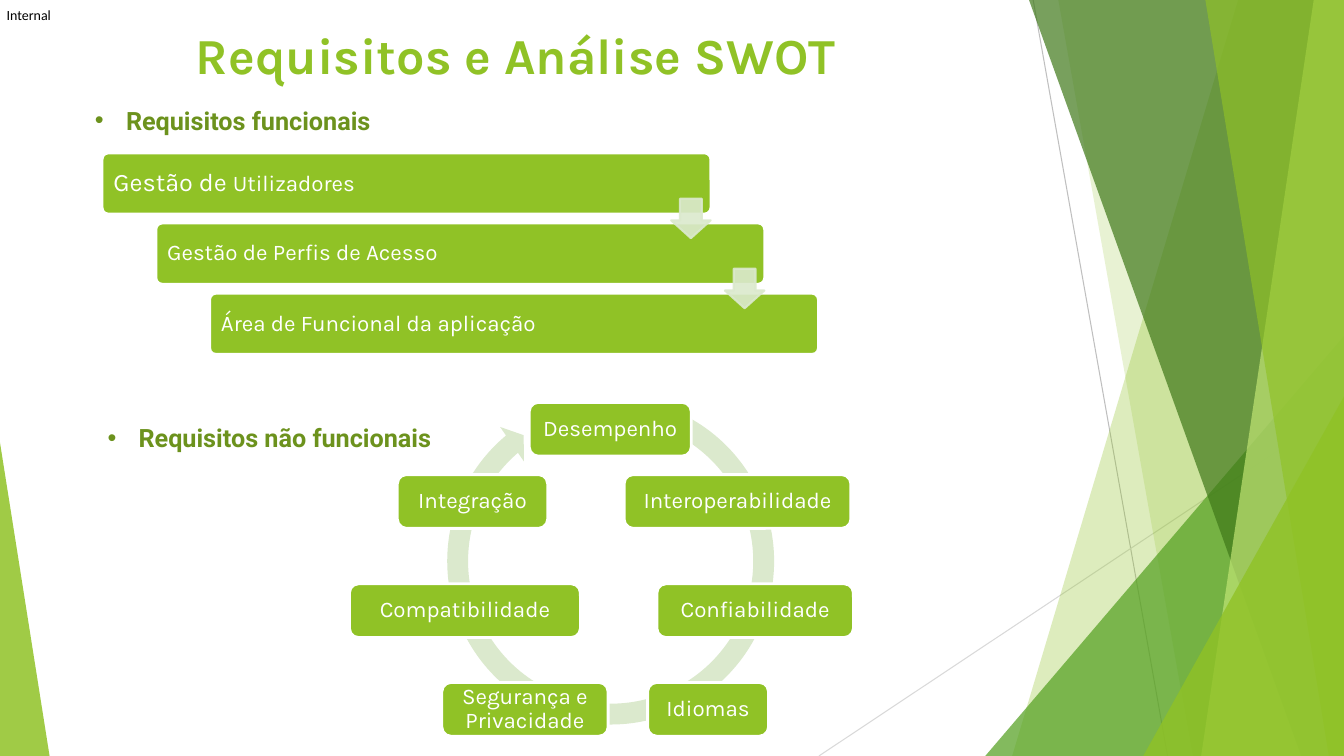
from dataclasses import dataclass

from lxml import etree
from pptx import Presentation
from pptx.dml.color import RGBColor
from pptx.enum.shapes import MSO_CONNECTOR, MSO_SHAPE
from pptx.enum.text import MSO_ANCHOR, PP_ALIGN
from pptx.oxml.ns import qn
from pptx.util import Inches, Pt

STRAIGHT = MSO_CONNECTOR.STRAIGHT
TRIANGLE = MSO_SHAPE.ISOSCELES_TRIANGLE
ROUNDED = MSO_SHAPE.ROUNDED_RECTANGLE
DOWN_ARROW = MSO_SHAPE.DOWN_ARROW
CYCLE_ARROW = MSO_SHAPE.CIRCULAR_ARROW
TOP, MIDDLE = MSO_ANCHOR.TOP, MSO_ANCHOR.MIDDLE
LEFT, CENTER, JUSTIFY = PP_ALIGN.LEFT, PP_ALIGN.CENTER, PP_ALIGN.JUSTIFY

COLUMNS, ROWS = 160, 90
CELL = Inches(13.333) / COLUMNS


@dataclass(frozen=True)
class Theme:
    green: str = "90C226"
    heading_green: str = "6C921D"
    mid_green: str = "54A021"
    dark_green: str = "3F7819"
    lime: str = "C0E474"
    pale: str = "DBE9CD"
    white: str = "FFFFFF"
    black: str = "000000"
    dark_rule: str = "BFBFBF"
    light_rule: str = "D9D9D9"
    title_font: str = "Karla"
    heading_font: str = "Roboto"
    label_font: str = "Calibri"
    title_size: int = 36
    large_size: int = 18
    body_size: int = 16
    label_size: int = 10


THEME = Theme()

STEPS = [
    [("Gestão de ", THEME.large_size), ("Utilizadores", THEME.body_size)],
    [("Gestão de Perfis de Acesso", THEME.body_size)],
    [("Área de Funcional da aplicação", THEME.body_size)],
]
STEP_LEFT, STEP_TOP, STEP_DX, STEP_DY = 12.2, 18.25, 6.4, 8.35
STEP_WIDTH, STEP_HEIGHT = 72.4, 7.2
ARROW_LEFT, ARROW_TOP, ARROW_SIZE = 79.9, 23.65, 4.7

QUALITY_ROWS = [47.9, 56.5, 69.5, 81.25]
QUALITY_HEIGHT = 6.4
QUALITIES = [  # label, row, left, width
    ("Desempenho", 0, 63, 19.3),
    ("Interoperabilidade", 1, 74.3, 27),
    ("Confiabilidade", 2, 78.2, 23.4),
    ("Idiomas", 3, 77.1, 14.4),
    ("Segurança e Privacidade", 3, 52.6, 19.8),
    ("Compatibilidade", 2, 41.6, 27.5),
    ("Integração", 1, 47.3, 17.9),
]


def grid(*cells):
    return [round(cell * CELL) for cell in cells]


def apply(target, values):
    for name, value in values.items():
        setattr(target, name, value)


def set_color(fill, color, opacity=100):
    """Fill with a solid colour; opacity is in percent."""
    fill.solid()
    fill.fore_color.rgb = RGBColor.from_string(color)
    if opacity < 100:
        # the colour element is the only srgbClr below this fill
        solid = fill._xPr.find(qn("a:solidFill"))
        alpha = etree.SubElement(solid[0], qn("a:alpha"))
        alpha.set("val", str(opacity * 1000))


def paint(shape, color, opacity=100, line=None, line_width=0):
    shape.shadow.inherit = False
    set_color(shape.fill, color, opacity)
    if line:
        set_color(shape.line.fill, line, opacity)
        shape.line.width = Pt(line_width)
    else:
        shape.line.fill.background()


def add_preset(slide, kind, box, adjustments, **look):
    shape = slide.shapes.add_shape(kind, *grid(*box))
    for index, value in enumerate(adjustments):
        shape.adjustments[index] = value
    paint(shape, **look)
    return shape


def add_rule(slide, ends, color):
    rule = slide.shapes.add_connector(STRAIGHT, *grid(*ends))
    rule.line.color.rgb = RGBColor.from_string(color)
    rule.line.width = Pt(0.75)
    etree.SubElement(rule._element.spPr, qn("a:effectLst"))


def add_band(slide, top_left, bottom_left, color, opacity):
    """Full-height band that reaches the right edge of the slide."""
    outline = slide.shapes.build_freeform(*grid(top_left, 0))
    corners = [(COLUMNS, 0), (COLUMNS, ROWS), (bottom_left, ROWS)]
    outline.add_line_segments([grid(*corner) for corner in corners], close=True)
    paint(outline.convert_to_shape(), color, opacity)


def write(shape, runs, color, font, align=LEFT, anchor=MIDDLE,
          insets=(0, 0, 0, 0), spacing=1.0, bold=False, bullet=False):
    """Write one paragraph of (text, size) runs; insets are left, top, right, bottom."""
    frame = shape.text_frame
    sides = ("margin_left", "margin_top", "margin_right", "margin_bottom")
    apply(frame, {"word_wrap": True, "vertical_anchor": anchor,
                  **dict(zip(sides, grid(*insets)))})
    paragraph = frame.paragraphs[0]
    apply(paragraph, {"alignment": align, "line_spacing": spacing})
    if bullet:
        properties = paragraph._p.get_or_add_pPr()
        hanging, = grid(3.7)
        properties.set("marL", str(grid(9.7)[0]))
        properties.set("indent", str(-hanging))
        etree.SubElement(properties, qn("a:buFont")).set("typeface", "Arial")
        etree.SubElement(properties, qn("a:buChar")).set("char", "•")
    for text, size in runs:
        run = paragraph.add_run()
        run.text = text
        apply(run.font, {"name": font, "size": Pt(size), "bold": bold})
        run.font.color.rgb = RGBColor.from_string(color)


def add_text(slide, box, text, size, **style):
    write(slide.shapes.add_textbox(*grid(*box)), [(text, size)], **style)


def add_heading(slide, left, top, text):
    add_text(slide, (left, top, 80.2, 6), text, THEME.large_size,
             color=THEME.heading_green, font=THEME.heading_font, anchor=TOP,
             insets=(1.2, 0.6, 1.2, 0.6), spacing=1.5, bold=True, bullet=True)


def add_card(slide, box, runs, radius, line_width, align):
    card = add_preset(slide, ROUNDED, box, [radius], color=THEME.green,
                      line=THEME.white, line_width=line_width)
    write(card, runs, THEME.white, THEME.title_font, align,
          insets=(1.1, 0.9, 1.1, 0.9), spacing=0.9)


def add_backdrop(slide):
    add_rule(slide, (123, 0, 139, 90), THEME.dark_rule)
    add_rule(slide, (160, 48.4, 97.5, 90), THEME.light_rule)
    add_band(slide, 147.4, 120.5, THEME.green, 30)
    add_band(slide, 126, 142, THEME.green, 20)
    add_preset(slide, TRIANGLE, (117.3, 40, 42.7, 50), [1],
               color=THEME.mid_green, opacity=72)
    add_band(slide, 122.5, 154.9, THEME.dark_green, 70)
    add_band(slide, 156.4, 143, THEME.lime, 70)
    add_band(slide, 143.5, 158.2, THEME.green, 65)
    add_preset(slide, TRIANGLE, (136.1, 47.2, 23.9, 42.8), [1],
               color=THEME.green, opacity=80)
    add_preset(slide, TRIANGLE, (0, 52.7, 5.9, 37.3), [0],
               color=THEME.green, opacity=85)


def add_steps(slide):
    for index, runs in enumerate(STEPS):
        box = (STEP_LEFT + index * STEP_DX, STEP_TOP + index * STEP_DY,
               STEP_WIDTH, STEP_HEIGHT)
        add_card(slide, box, runs, 0.1, 1.5, JUSTIFY)
    for index in range(len(STEPS) - 1):
        box = (ARROW_LEFT + index * STEP_DX, ARROW_TOP + index * STEP_DY,
               ARROW_SIZE, ARROW_SIZE)
        add_preset(slide, DOWN_ARROW, box, [0.55, 0.45], color=THEME.pale,
                   opacity=90, line=THEME.pale, line_width=1.5)


def add_quality_cycle(slide):
    add_preset(slide, CYCLE_ARROW, (52, 46.1, 41.4, 41.4),
               [0.06, 3.31, 137.91, 173.77, 0.06], color=THEME.pale)
    for label, row, left, width in QUALITIES:
        box = (left, QUALITY_ROWS[row], width, QUALITY_HEIGHT)
        add_card(slide, box, [(label, THEME.body_size)], 0.17, 2, CENTER)


def main():
    deck = Presentation()
    deck.slide_width, deck.slide_height = grid(COLUMNS, ROWS)
    slide = deck.slides.add_slide(deck.slide_layouts[6])
    add_backdrop(slide)
    add_text(slide, (0.8, 0.8, 5.7, 2), "Internal", THEME.label_size,
             color=THEME.black, font=THEME.label_font, anchor=TOP)
    add_text(slide, (0, 0, 122.8, 17.3), "Requisitos e Análise SWOT",
             THEME.title_size, color=THEME.green, font=THEME.title_font,
             align=CENTER, anchor=TOP, insets=(1.2, 2.9, 1.2, 0.6), bold=True)
    add_heading(slide, 4.1, 10.1, "Requisitos funcionais")
    add_heading(slide, 5.6, 47.9, "Requisitos não funcionais")
    add_steps(slide)
    add_quality_cycle(slide)
    deck.save("out.pptx")


if __name__ == "__main__":
    main()
